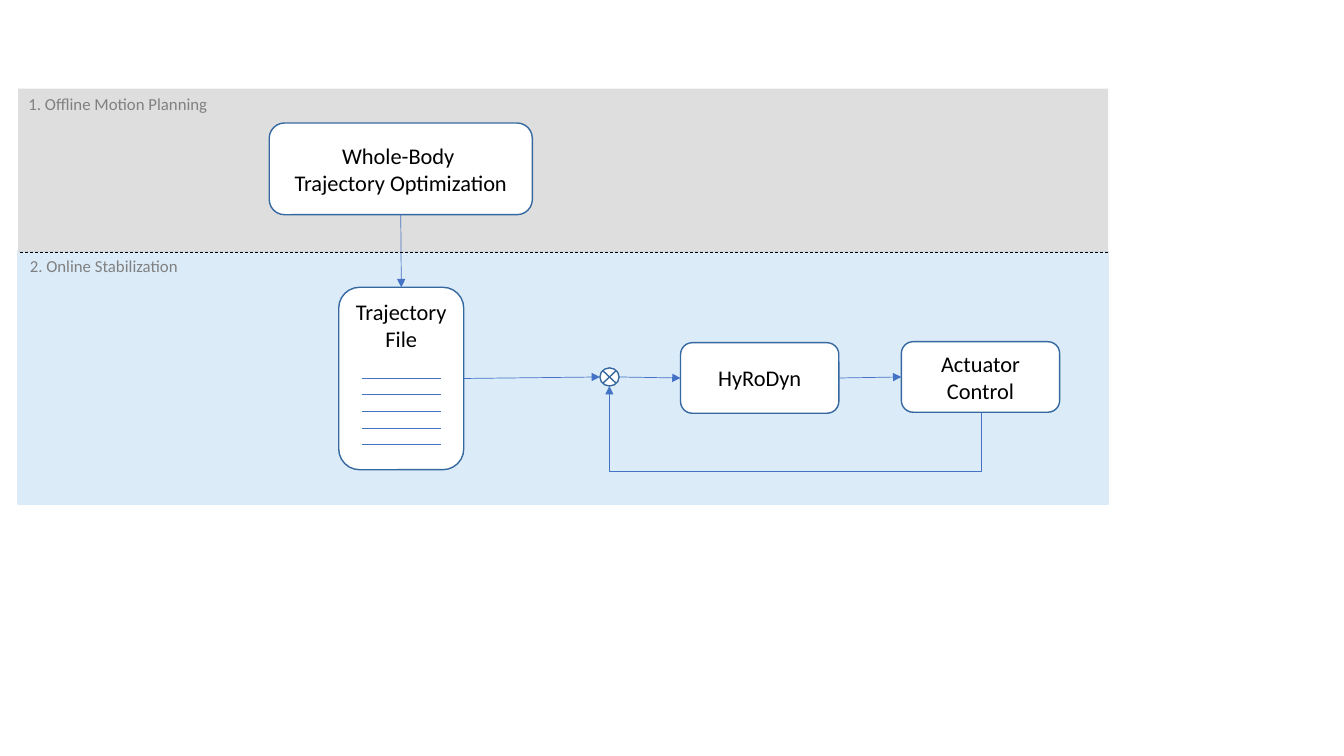
from lxml import etree
from pptx import Presentation
from pptx import util as u
from pptx.dml.color import RGBColor
from pptx.enum import dml, shapes, text
from pptx.oxml.ns import qn

WHITE = RGBColor(0xFF, 0xFF, 0xFF)
BLACK = RGBColor(0, 0, 0)
LABEL_GRAY = RGBColor(0x80, 0x80, 0x80)
PLANNING_GRAY = RGBColor(0xBF, 0xBF, 0xBF)
STABLE_BLUE = RGBColor(0xDB, 0xEB, 0xF8)
BLOCK_EDGE = RGBColor(0x36, 0x68, 0xA0)
WIRE_BLUE = RGBColor(0x44, 0x72, 0xC4)

SHAPE = shapes.MSO_SHAPE
LINE = shapes.MSO_CONNECTOR
TOP, LEFT, BOTTOM, RIGHT = range(4)


def add_text(sp, paragraphs, size, color, **frame):
    tf = sp.text_frame
    for name, value in frame.items():
        setattr(tf, name, value)
    for i, line in enumerate(paragraphs):
        p = tf.paragraphs[0] if i == 0 else tf.add_paragraph()
        p.alignment = text.PP_ALIGN.CENTER
        r = p.add_run()
        r.text = line
        for name, value in {"name": "Calibri", "size": u.Pt(size)}.items():
            setattr(r.font, name, value)
        r.font.color.rgb = color


def add_block(parent, kind, box, fill=WHITE, edge=BLOCK_EDGE):
    sp = parent.add_shape(kind, *map(u.Inches, box))
    sp.shadow.inherit = False
    sp.fill.solid()
    sp.fill.fore_color.rgb = fill
    if edge is None:
        sp.line.fill.background()
    else:
        sp.line.color.rgb = edge
        sp.line.width = u.Pt(1)
    return sp


def add_step(parent, box, *paragraphs, anchor=text.MSO_ANCHOR.MIDDLE):
    sp = add_block(parent, SHAPE.ROUNDED_RECTANGLE, box)
    add_text(sp, paragraphs, 16, BLACK, word_wrap=True, vertical_anchor=anchor)
    return sp


def add_wire(parent, start, end, color=WIRE_BLUE, arrow=False, kind=LINE.STRAIGHT):
    line = parent.add_connector(kind, *map(u.Inches, (*start, *end)))
    line.line.color.rgb = color
    line.line.width = u.Pt(0.5)
    if arrow:
        etree.SubElement(line.line._get_or_add_ln(), qn("a:tailEnd"), type="triangle")
    etree.SubElement(line._element.spPr, qn("a:effectLst"))
    return line


def add_feedback(parent, start, end, drop):
    (x1, y1), (x2, y2) = start, end
    span, rise = x1 - x2, y1 - y2
    line = add_wire(parent, start, end, arrow=True, kind=LINE.ELBOW)
    frame = {
        "left": (x1 + x2 - rise) / 2,
        "top": (y1 + y2 - span) / 2,
        "width": rise,
        "height": span,
    }
    for name, value in frame.items():
        setattr(line, name, u.Inches(value))
    xfrm = line._element.spPr.find(qn("a:xfrm"))
    for name in ("flipH", "flipV"):
        xfrm.attrib.pop(name, None)
    xfrm.set("rot", "5400000")
    xfrm.set("flipH", "1")
    guides = line._element.spPr.find(qn("a:prstGeom")).get_or_add_avLst()
    ratio = round(-drop / rise * 100000)
    etree.SubElement(guides, qn("a:gd"), name="adj1", fmla=f"val {ratio}")


def add_label(parent, box, label):
    sp = parent.add_textbox(*map(u.Inches, box))
    add_text(sp, [label], 12, LABEL_GRAY, word_wrap=False,
             auto_size=text.MSO_AUTO_SIZE.SHAPE_TO_FIT_TEXT)


def add_file(parent, box):
    x, y, w, h = box
    group = parent.add_group_shape().shapes
    sp = add_step(group, box, "Trajectory File", anchor=text.MSO_ANCHOR.TOP)
    for i in range(5):
        row = y + 0.9 + i * 0.165
        add_wire(group, (x + 0.23, row), (x + w - 0.23, row))
    return sp


def add_planning(parent, box):
    x, y, w, h = box
    band = add_block(parent, SHAPE.RECTANGLE, box, PLANNING_GRAY, None)
    color = band._element.spPr.find(qn("a:solidFill"))[0]
    etree.SubElement(color, qn("a:alpha"), val="50000")
    add_label(parent, (x, y, 1.98, 0.3), "1. Offline Motion Planning")
    return add_step(parent, (x + 2.49, y + 0.34, 2.61, 0.91),
                    "Whole-Body ", "Trajectory Optimization")


def add_stabilization(parent, box):
    x, y, w, h = box
    add_block(parent, SHAPE.RECTANGLE, box, STABLE_BLUE, STABLE_BLUE)
    add_label(parent, (x, y - 0.01, 1.7, 0.3), "2. Online Stabilization")
    file = add_file(parent, (x + 3.18, y + 0.35, 1.24, 1.81))
    dynamics = add_step(parent, (x + 6.57, y + 0.9, 1.57, 0.7), "HyRoDyn")
    control = add_step(parent, (x + 8.76, y + 0.89, 1.57, 0.7), "Actuator Control")

    jx, jy, jw, jh = x + 5.77, y + 1.15, 0.19, 0.18
    middle = jy + jh / 2
    incoming = add_wire(parent, (x + 4.42, middle), (jx, middle), arrow=True)
    incoming.begin_connect(file, RIGHT)
    command = add_wire(parent, (x + 8.14, middle), (x + 8.76, middle), arrow=True)
    command.begin_connect(dynamics, RIGHT)
    command.end_connect(control, LEFT)
    add_feedback(parent, (x + 9.55, y + 1.59), (jx + jw / 2, jy + jh), 0.59)
    add_block(parent, SHAPE.FLOWCHART_SUMMING_JUNCTION, (jx, jy, jw, jh))
    error = add_wire(parent, (jx + jw, middle), (x + 6.57, middle), arrow=True)
    error.end_connect(dynamics, LEFT)
    return file


def main():
    prs = Presentation()
    prs.slide_width, prs.slide_height = u.Inches(13.33), u.Inches(7.5)
    s = prs.slides.add_slide(prs.slide_layouts[6])

    left, top, width, border = 0.18, 0.88, 10.81, 2.5
    file = add_stabilization(s.shapes, (left, border, width, 2.5))
    optimization = add_planning(s.shapes, (left, top, width, border - top))
    handover = add_wire(s.shapes, (3.98, 2.13), (3.98, 2.85), arrow=True)
    handover.begin_connect(optimization, BOTTOM)
    handover.end_connect(file, TOP)
    divider = add_wire(s.shapes, (left + width, border), (left, border), BLACK)
    divider.line.dash_style = dml.MSO_LINE.DASH
    prs.save("out.pptx")


if __name__ == "__main__":
    main()
